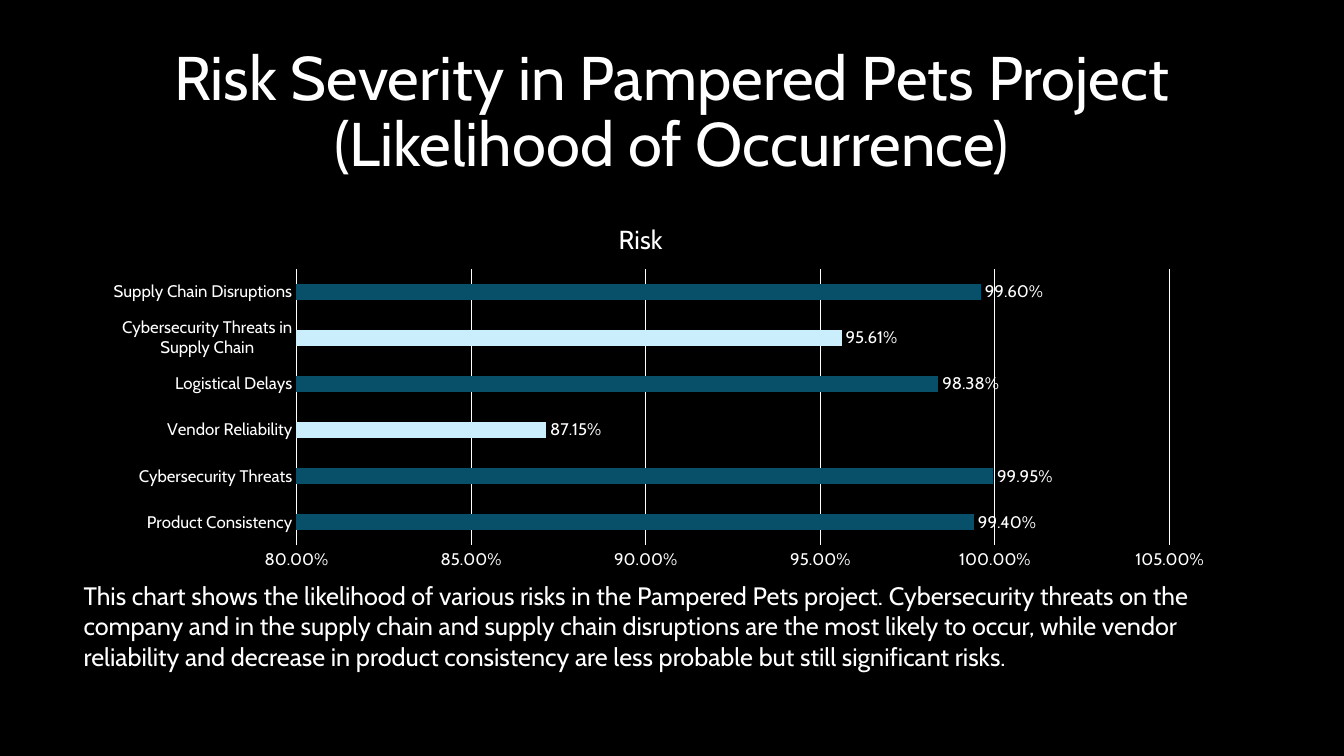
from lxml.etree import SubElement as Sub
from pptx import Presentation
from pptx.chart.data import CategoryChartData as Data
from pptx.dml.color import RGBColor as RGB
from pptx.enum.chart import XL_CHART_TYPE as Kind, XL_LABEL_POSITION as Pos, XL_TICK_MARK as Tick
from pptx.enum.text import MSO_ANCHOR as Anchor, PP_ALIGN as Align
from pptx.oxml.ns import qn
from pptx.util import Pt

HEAD = "Risk Severity in Pampered Pets Project (Likelihood of Occurrence)"
NOTE = (
    "This chart shows the likelihood of various risks in the Pampered Pets project. "
    "Cybersecurity threats on the company and in the supply chain and supply chain "
    "disruptions are the most likely to occur, while vendor reliability and decrease "
    "in product consistency are less probable but still significant risks."
)
RISKS = [
    ("Product Consistency", 0.994, "deep"),
    ("Cybersecurity Threats", 0.9995, "deep"),
    ("Vendor Reliability", 0.8715, "pale"),
    ("Logistical Delays", 0.9838, "deep"),
    ("Cybersecurity Threats in Supply Chain", 0.9561, "pale"),
    ("Supply Chain Disruptions", 0.996, "deep"),
]
HUES = {"back": "000000", "ink": "FFFFFF", "base": "B4E5A2", "deep": "084F6A", "pale": "CAEEFB"}
FACE = "Cabin"
FORM = "0.00%"


def hue(name):
    return RGB.from_string(HUES[name])


def style(font, size):
    font.name, font.size, font.bold = FACE, Pt(size), False
    font.color.rgb = hue("ink")


def paint(fill, name):
    fill.solid()
    fill.fore_color.rgb = hue(name)


def rule(line):
    line.color.rgb = hue("ink")
    line.width = Pt(0.75)


def write(slide, text, box, size, align=Align.LEFT, anchor=Anchor.TOP, lead=None):
    frame = slide.shapes.add_textbox(*map(Pt, box)).text_frame
    frame.word_wrap = True
    frame.vertical_anchor = anchor
    para = frame.paragraphs[0]
    para.alignment, para.line_spacing = align, lead
    run = para.add_run()
    run.text = text
    style(run.font, size)


def place(part, spot, inner=False):
    layout = part.find(qn("c:layout"))
    if layout is None:
        layout = Sub(part, qn("c:layout"))
        part.insert(0, layout)
    manual = Sub(layout, qn("c:manualLayout"))
    rules = [("layoutTarget", "inner")] if inner else []
    rules += [("xMode", "edge"), ("yMode", "edge")] + list(zip("xywh", spot))
    for tag, val in rules:
        Sub(manual, qn("c:" + tag)).set("val", str(val))


def draw(slide, box):
    data = Data(number_format=FORM)
    names, vals, tones = zip(*RISKS)
    data.categories = names
    data.add_series("Series 1", vals)
    chart = slide.shapes.add_chart(Kind.BAR_CLUSTERED, *map(Pt, box), data).chart
    style(chart.font, 10)
    chart.has_legend = False
    chart.has_title = True
    title = chart.chart_title
    title.text_frame.text = "Risk"
    style(title.text_frame.paragraphs[0].runs[0].font, 18.6)
    title.include_in_layout = False
    place(title._element, (0.46, 0.04))
    place(chart._chartSpace.chart.plotArea, (0.18, 0.18, 0.77, 0.74), inner=True)

    for axis in (chart.category_axis, chart.value_axis):
        axis.major_tick_mark = axis.minor_tick_mark = Tick.NONE
        style(axis.tick_labels.font, 12)
    rule(chart.category_axis.format.line)
    scale = chart.value_axis
    scale.minimum_scale, scale.maximum_scale, scale.major_unit = 0.8, 1.05, 0.05
    scale.format.line.fill.background()
    rule(scale.major_gridlines.format.line)
    scale.tick_labels.number_format = FORM
    scale.tick_labels.number_format_is_linked = False

    plot = chart.plots[0]
    plot.gap_width, plot.vary_by_categories = 182, False
    bars = plot.series[0]
    bars.invert_if_negative = False
    paint(bars.format.fill, "base")
    for i, tone in enumerate(tones):
        paint(bars.points[i].format.fill, tone)
    tags = bars.data_labels
    tags.show_value = True
    tags.position = Pos.OUTSIDE_END
    tags.number_format, tags.number_format_is_linked = FORM, False
    style(tags.font, 12)


deck = Presentation()
deck.slide_width, deck.slide_height = Pt(960), Pt(540)
slide = deck.slides.add_slide(deck.slide_layouts[6])
paint(slide.background.fill, "back")
write(slide, HEAD, (66, 28.8, 828, 104.4), 44, Align.CENTER, Anchor.MIDDLE, 0.9)
draw(slide, (66, 144, 810, 267))
write(slide, NOTE, (52.6, 411.1, 842.4, 72.7), 18)
deck.save("out.pptx")
